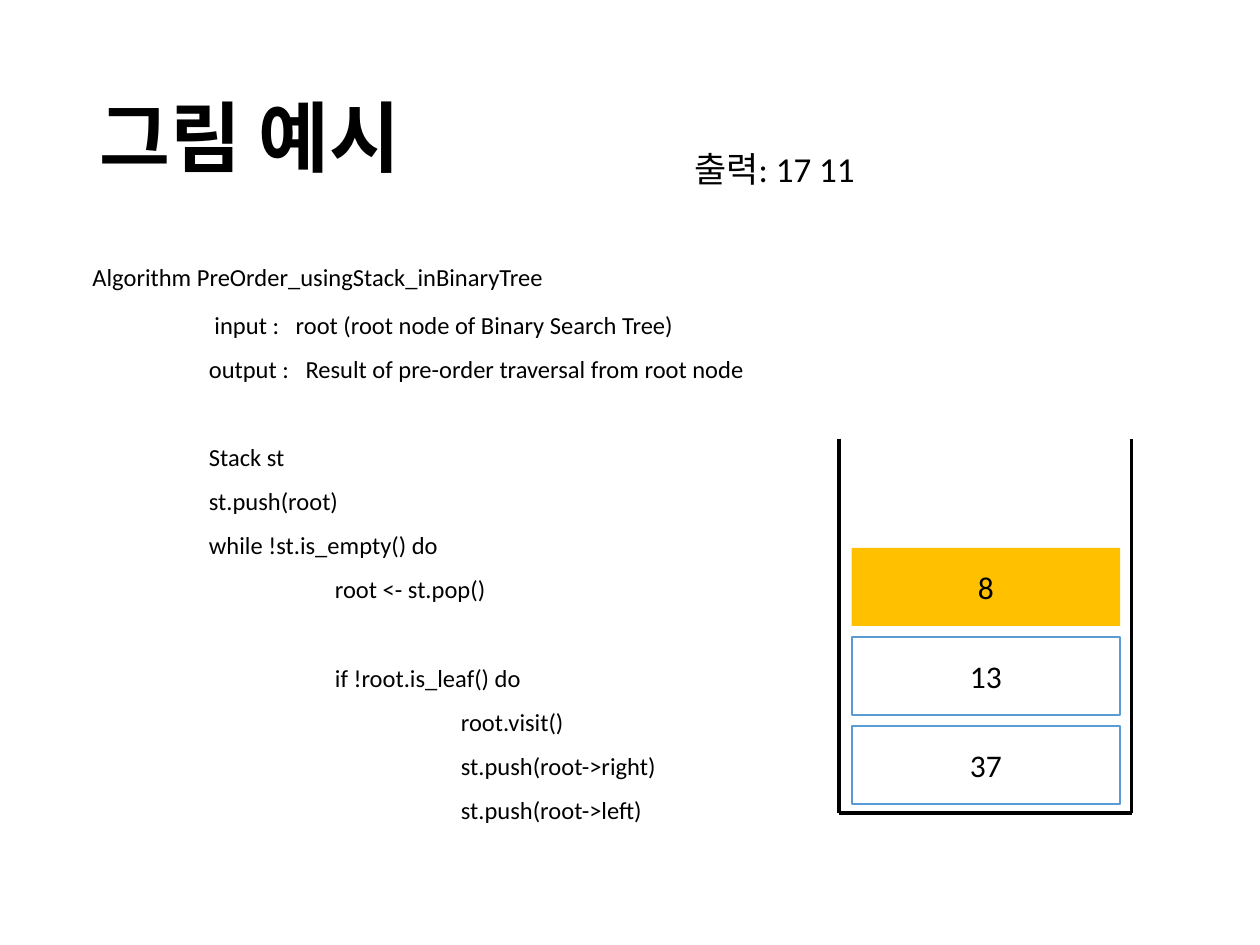
from dataclasses import dataclass
from itertools import pairwise
from typing import Optional

import pptx
import pptx.dml.color
import pptx.enum.shapes
import pptx.enum.text
import pptx.oxml
import pptx.util

Pt = pptx.util.Pt

COLORS = {
    "text": "000000",
    "wall": "000000",
    "top_cell": "FFC000",
    "cell": "FFFFFF",
    "cell_border": "5B9BD5",
}
FONT = "Calibri"
CODE_SIZE = 14
TAB = 72
LINE_GAP = 10
BLANK_LINE_GAP = 35.4


@dataclass(frozen=True)
class Box:
    left: float
    top: float
    width: float
    height: float


@dataclass(frozen=True)
class CodeLine:
    text: str
    indent: float
    before: float = LINE_GAP
    after: float = 0


@dataclass(frozen=True)
class StackCell:
    value: str
    fill: str
    border: Optional[str] = None


TITLE_BOX = Box(49.7, 28.8, 620.6, 104.4)
OUTPUT_BOX = Box(389.5, 76.3, 308.2, 42.5)
CODE_BOX = Box(40.3, 148.2, 396, 364.4)
BOTTOM_CELL = Box(486.7, 414.7, 153.4, 44.6)
CELL_PITCH = 50.8
STACK_WALL = ((479.5, 250.6), (479.5, 464.4), (646.6, 464.4), (646.6, 250.6))

CODE = (
    CodeLine("Algorithm PreOrder_usingStack_inBinaryTree", 5.4, after=2),
    CodeLine("input :   root (root node of Binary Search Tree)", TAB + 3.2),
    CodeLine("output :   Result of pre-order traversal from root node", TAB),
    CodeLine("Stack st", TAB, BLANK_LINE_GAP),
    CodeLine("st.push(root)", TAB),
    CodeLine("while !st.is_empty() do", TAB),
    CodeLine("root <- st.pop()", 2 * TAB),
    CodeLine("if !root.is_leaf() do", 2 * TAB, BLANK_LINE_GAP),
    CodeLine("root.visit()", 3 * TAB),
    CodeLine("st.push(root->right)", 3 * TAB),
    CodeLine("st.push(root->left)", 3 * TAB),
)
CELLS = (
    StackCell("37", "cell", "cell_border"),
    StackCell("13", "cell", "cell_border"),
    StackCell("8", "top_cell"),
)


def rgb(name: str) -> pptx.dml.color.RGBColor:
    return pptx.dml.color.RGBColor.from_string(COLORS[name])


def place(box: Box) -> tuple:
    return Pt(box.left), Pt(box.top), Pt(box.width), Pt(box.height)


def add_run(paragraph, text: str, size: float, bold: bool = False) -> None:
    run = paragraph.add_run()
    run.text = text
    run.font.name = FONT
    run.font.size = Pt(size)
    run.font.bold = bold
    run.font.color.rgb = rgb("text")


def add_text_frame(slide, box: Box, anchor):
    frame = slide.shapes.add_textbox(*place(box)).text_frame
    frame.word_wrap = True
    frame.vertical_anchor = anchor
    return frame


def add_heading(slide, box: Box, text: str, size: float, bold: bool = False) -> None:
    frame = add_text_frame(slide, box, pptx.enum.text.MSO_ANCHOR.MIDDLE)
    paragraph = frame.paragraphs[0]
    paragraph.line_spacing = 0.9
    add_run(paragraph, text, size, bold)


def add_code(slide, box: Box, lines: tuple[CodeLine, ...]) -> None:
    frame = add_text_frame(slide, box, pptx.enum.text.MSO_ANCHOR.TOP)
    for index, line in enumerate(lines):
        paragraph = frame.add_paragraph() if index else frame.paragraphs[0]
        paragraph.line_spacing = 0.9
        paragraph.space_before = Pt(line.before)
        paragraph.space_after = Pt(line.after)
        properties = paragraph._p.get_or_add_pPr()
        properties.set("marL", str(Pt(line.indent)))
        properties.set("indent", "0")
        add_run(paragraph, line.text, CODE_SIZE)


def add_stack_wall(slide, corners: tuple) -> None:
    wall = slide.shapes.add_group_shape()
    for start, end in pairwise(corners):
        side = wall.shapes.add_connector(
            pptx.enum.shapes.MSO_CONNECTOR.STRAIGHT,
            *(Pt(value) for value in start + end),
        )
        side.line.color.rgb = rgb("wall")
        side.line.width = Pt(2.25)
        side._element.spPr.append(pptx.oxml.parse_xml(
            '<a:effectLst xmlns:a="http://schemas.openxmlformats.org/drawingml/2006/main"/>'
        ))


def add_cell(slide, box: Box, cell: StackCell) -> None:
    shape = slide.shapes.add_shape(pptx.enum.shapes.MSO_SHAPE.RECTANGLE, *place(box))
    shape.shadow.inherit = False
    shape.fill.solid()
    shape.fill.fore_color.rgb = rgb(cell.fill)
    if cell.border:
        shape.line.color.rgb = rgb(cell.border)
        shape.line.width = Pt(1)
    else:
        shape.line.fill.background()
    shape.text_frame.vertical_anchor = pptx.enum.text.MSO_ANCHOR.MIDDLE
    paragraph = shape.text_frame.paragraphs[0]
    paragraph.alignment = pptx.enum.text.PP_ALIGN.CENTER
    add_run(paragraph, cell.value, 18)


def main() -> None:
    presentation = pptx.Presentation()
    presentation.slide_width = Pt(720)
    presentation.slide_height = Pt(540)
    slide = presentation.slides.add_slide(presentation.slide_layouts[6])

    add_heading(slide, TITLE_BOX, "그림 예시", 44, bold=True)
    add_code(slide, CODE_BOX, CODE)
    add_stack_wall(slide, STACK_WALL)
    add_heading(slide, OUTPUT_BOX, "출력: 17 11", 20)
    for level, cell in enumerate(CELLS):
        top = BOTTOM_CELL.top - level * CELL_PITCH
        box = Box(BOTTOM_CELL.left, top, BOTTOM_CELL.width, BOTTOM_CELL.height)
        add_cell(slide, box, cell)

    presentation.save("out.pptx")


if __name__ == "__main__":
    main()
